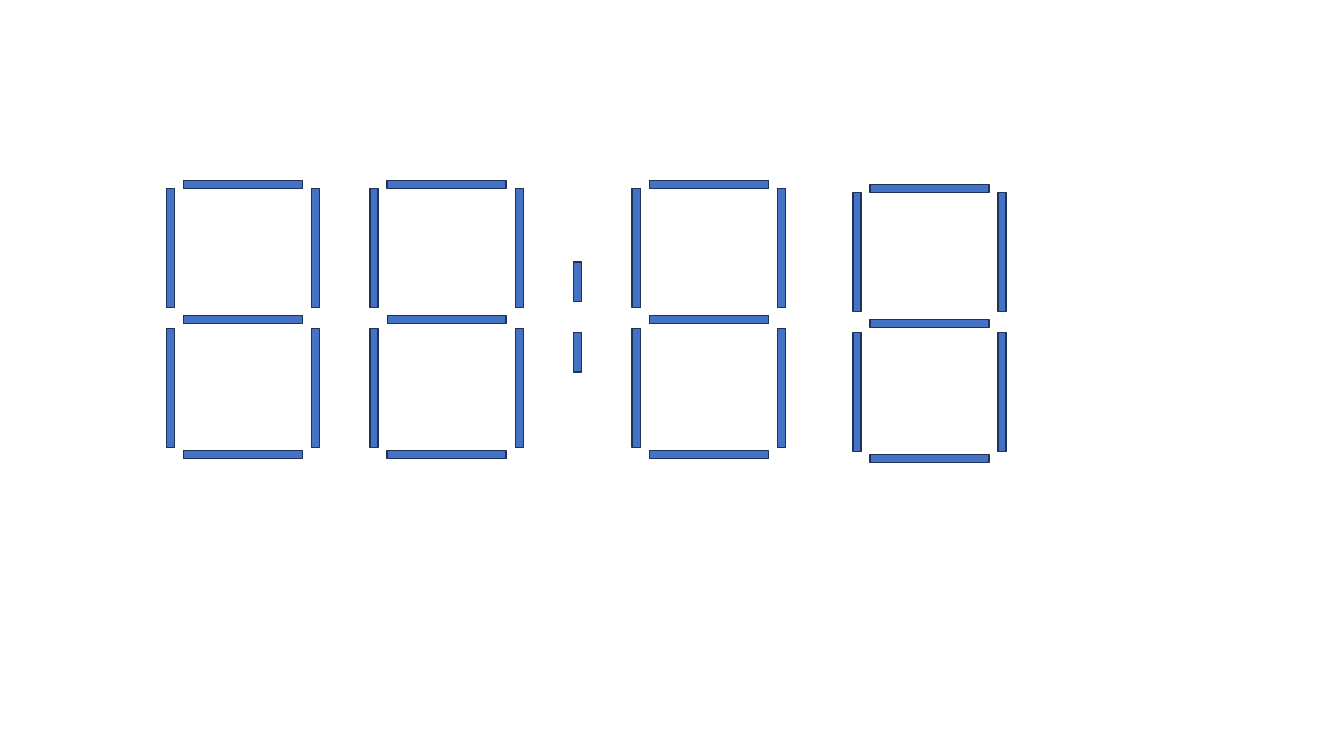
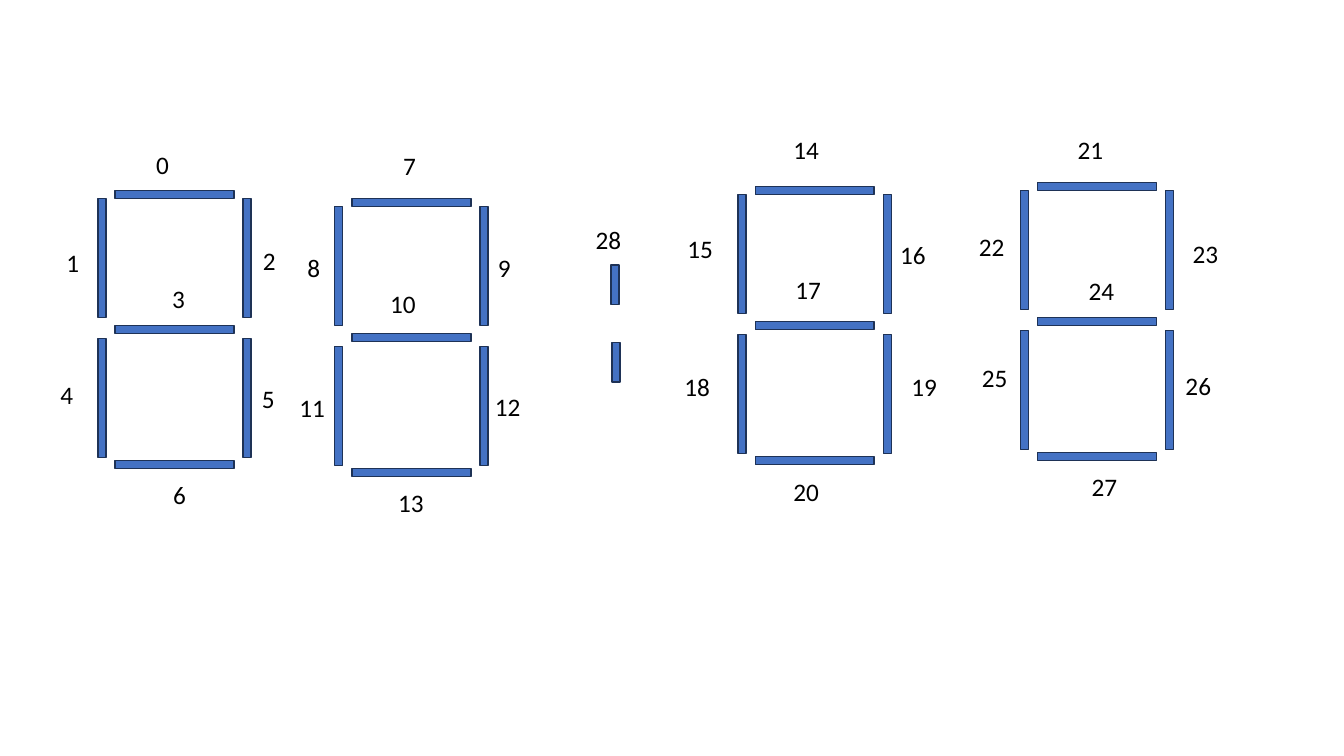
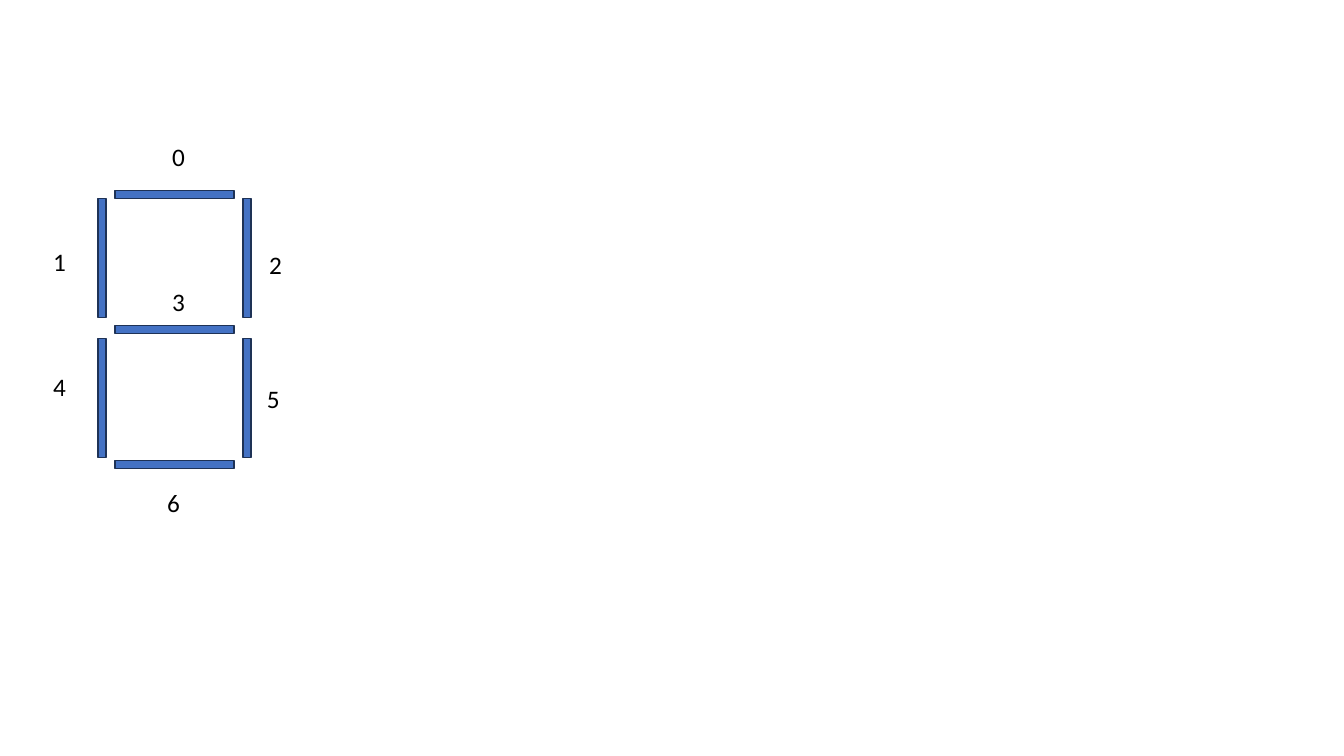
from pptx import Presentation
from pptx.dml.color import RGBColor
from pptx.enum.shapes import MSO_SHAPE
from pptx.enum.text import MSO_AUTO_SIZE
from pptx.util import Inches, Pt

RECTANGLE = MSO_SHAPE.RECTANGLE
FIT_SHAPE = MSO_AUTO_SIZE.SHAPE_TO_FIT_TEXT
BLUE = RGBColor(0x44, 0x72, 0xC4)
NAVY = RGBColor(0x1E, 0x32, 0x56)
BLACK = RGBColor(0, 0, 0)
FONT = "Calibri"

BAR_WIDTH = 0.08
BAR_LENGTH = 1.18
DOT_LENGTH = 0.39

# Segments of a digit: offset from its upper left bar, and rotation
SEGMENTS = [
    (0, 0, 0), (0, 1.39, 0), (0.72, -0.63, 270),
    (1.44, 0, 0), (1.44, 1.39, 0), (0.72, 0.71, 90), (0.72, 2.05, 270),
]

# Each slide: digit origins, colon dots, and label positions in number order
SLIDES = [
    {
        "digits": [(1.65, 1.87), (3.67, 1.87), (6.27, 1.87), (8.46, 1.91)],
        "dots": [(5.69, 2.6), (5.69, 3.3)],
        "labels": [],
    },
    {
        "digits": [(0.97, 1.97), (3.32, 2.05), (7.32, 1.93), (10.12, 1.89)],
        "dots": [(6.06, 2.63), (6.07, 3.4)],
        "labels": [
            (1.45, 1.43), (0.56, 2.4), (2.51, 2.38), (1.61, 2.76),
            (0.5, 3.71), (2.5, 3.75), (1.62, 4.71),
            (3.9, 1.44), (2.95, 2.45), (4.84, 2.45), (3.77, 2.81),
            (2.87, 3.84), (4.81, 3.83), (3.85, 4.79),
            (7.77, 1.28), (6.72, 2.27), (8.83, 2.33), (7.79, 2.67),
            (6.69, 3.63), (8.94, 3.63), (7.77, 4.68),
            (10.59, 1.28), (9.61, 2.25), (11.73, 2.32), (10.7, 2.68),
            (9.64, 3.55), (11.66, 3.62), (10.73, 4.63),
            (5.81, 2.18),
        ],
    },
    {
        "digits": [(0.97, 1.97)],
        "dots": [],
        "labels": [
            (1.61, 1.35), (0.43, 2.39), (2.57, 2.42), (1.61, 2.79),
            (0.43, 3.63), (2.55, 3.75), (1.56, 4.79),
        ],
    },
]


def add_bar(slide, left, top, length, rotation=0):
    bar = slide.shapes.add_shape(
        RECTANGLE, Inches(left), Inches(top), Inches(BAR_WIDTH), Inches(length))
    bar.rotation = rotation
    bar.shadow.inherit = False
    bar.fill.solid()
    bar.fill.fore_color.rgb = BLUE
    bar.line.color.rgb = NAVY
    bar.line.width = Pt(1)


def add_label(slide, left, top, number):
    text = str(number)
    width = 0.33 if len(text) == 1 else 0.46
    label = slide.shapes.add_textbox(
        Inches(left), Inches(top), Inches(width), Inches(0.4))
    text_frame = label.text_frame
    text_frame.text = text
    text_frame.word_wrap = False
    text_frame.auto_size = FIT_SHAPE
    font = text_frame.paragraphs[0].runs[0].font
    font.name = FONT
    font.size = Pt(18)
    font.color.rgb = BLACK


presentation = Presentation()
presentation.slide_width = Inches(13.33)
presentation.slide_height = Inches(7.5)
blank_layout = presentation.slide_layouts[6]

for content in SLIDES:
    slide = presentation.slides.add_slide(blank_layout)

    # Seven-segment digits
    for digit_left, digit_top in content["digits"]:
        for offset_x, offset_y, rotation in SEGMENTS:
            add_bar(slide, digit_left + offset_x, digit_top + offset_y,
                    BAR_LENGTH, rotation)

    # Colon
    for dot_left, dot_top in content["dots"]:
        add_bar(slide, dot_left, dot_top, DOT_LENGTH)

    # Segment numbers
    for number, (label_left, label_top) in enumerate(content["labels"]):
        add_label(slide, label_left, label_top, number)

presentation.save("out.pptx")
